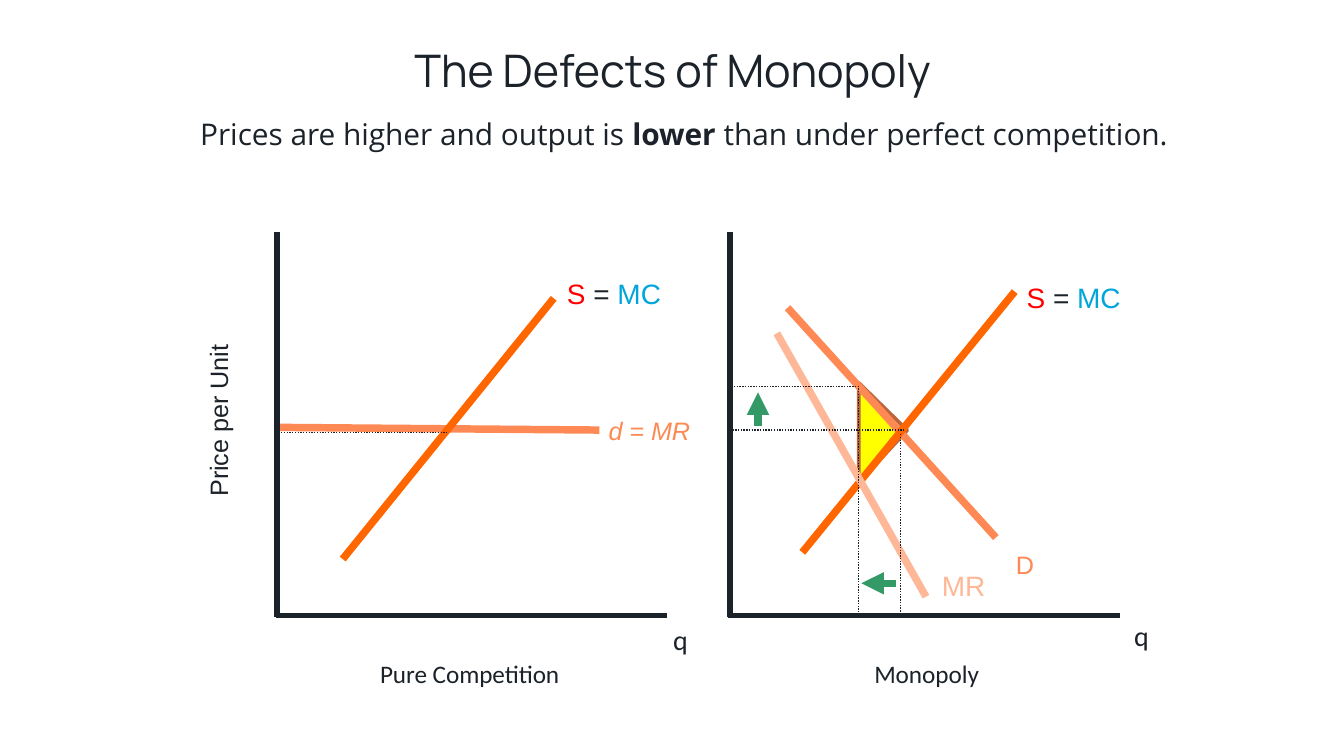
from lxml import etree
from pptx import Presentation
from pptx.dml.color import RGBColor
from pptx.enum.dml import MSO_LINE
from pptx.enum.shapes import MSO_CONNECTOR, MSO_SHAPE
from pptx.enum.text import MSO_ANCHOR, MSO_AUTO_SIZE, PP_ALIGN
from pptx.oxml.ns import qn
from pptx.util import Inches, Pt

STRAIGHT = MSO_CONNECTOR.STRAIGHT
TRIANGLE = MSO_SHAPE.ISOSCELES_TRIANGLE
DOTTED = MSO_LINE.ROUND_DOT
MIDDLE = MSO_ANCHOR.MIDDLE
GROW = MSO_AUTO_SIZE.SHAPE_TO_FIT_TEXT
FIXED = MSO_AUTO_SIZE.NONE
LEFT, CENTER = PP_ALIGN.LEFT, PP_ALIGN.CENTER

TITLE_ONLY = 5
WIDTH = 10
HEIGHT = WIDTH * 9 / 16
COLUMNS = 100
CELL = WIDTH / COLUMNS
AXIS_TOP, AXIS_BOTTOM, AXIS_LENGTH = 17.3, 45.8, 29

COLORS = {
    "ink": "1C2229",
    "supply": "FF6600",
    "demand": "FE8954",
    "revenue": "FEB898",
    "red": "FF0000",
    "blue": "00A6DA",
    "green": "339966",
    "yellow": "FFFF00",
    "brown": "BB653E",
}
SUPPLY_LABEL = [("S", "red", False), (" = ", "ink", False), ("MC", "blue", False)]


def grid(*cells):
    return [Inches(cell * CELL) for cell in cells]


def color(name):
    return RGBColor.from_string(COLORS[name])


def write(box, spans, font="Arial", size=13.5, align=LEFT, italic=False,
          spacing=1, insets=(0.1, 0.05), wrap=True, fit=GROW, anchor=None):
    frame = box.text_frame
    frame.word_wrap = wrap
    frame.auto_size = fit
    frame.margin_left = frame.margin_right = Inches(insets[0])
    frame.margin_top = frame.margin_bottom = Inches(insets[1])
    if anchor is not None:
        frame.vertical_anchor = anchor
    para = frame.paragraphs[0]
    para.alignment = align
    para.line_spacing = spacing
    para.space_before = Pt(0)
    for text, name, bold in spans:
        span = para.add_run()
        span.text = text
        span.font.name = font
        span.font.size = Pt(size)
        span.font.bold = bold
        span.font.italic = italic
        span.font.color.rgb = color(name)


def add_label(page, area, spans, rotation=0, **style):
    box = page.shapes.add_textbox(*grid(*area))
    box.rotation = rotation
    write(box, spans, **style)


def add_line(page, start, end, name="ink", weight=4, dash=None, arrow=False):
    line = page.shapes.add_connector(STRAIGHT, *grid(*start, *end))
    line.line.color.rgb = color(name)
    line.line.width = Pt(weight)
    if dash is not None:
        line.line.dash_style = dash
    if arrow:
        etree.SubElement(line.line._get_or_add_ln(), qn("a:tailEnd"), type="triangle")
    etree.SubElement(line._element.spPr, qn("a:effectLst"))


def add_guide(page, start, end):
    add_line(page, start, end, weight=0.75, dash=DOTTED)


def add_panel(page, left, caption, caption_left, quantity_at):
    add_line(page, (left, AXIS_TOP), (left, AXIS_BOTTOM + 0.1), weight=3)
    add_line(page, (left - 0.1, AXIS_BOTTOM), (left + AXIS_LENGTH, AXIS_BOTTOM), weight=3)
    add_label(page, (caption_left, 48.6, 29.7, 3), [(caption, "ink", False)],
              font="Calibri", align=CENTER, insets=(0.07, 0.04))
    add_label(page, (*quantity_at, 3.1, 3.5), [("q", "ink", False)],
              font="Calibri", size=15, wrap=False)


def add_supply(page, start, end, label_at):
    add_line(page, start, end, "supply")
    add_label(page, (*label_at, 9, 3.5), SUPPLY_LABEL, size=15, wrap=False)


def add_welfare_loss(page):
    loss = page.shapes.add_shape(TRIANGLE, *grid(62, 30.4, 7.4, 3.6))
    loss.adjustments[0] = 0.476
    loss.rotation = 90
    loss.shadow.inherit = False
    loss.fill.solid()
    loss.fill.fore_color.rgb = color("yellow")
    loss.line.color.rgb = color("brown")
    loss.line.width = Pt(2)


def add_headings(page):
    message = page.shapes.title
    message.left, message.top, message.width, message.height = grid(13.4, 5.4, 75, 9.4)
    write(message, [("Prices are higher and output is ", "ink", False),
                    ("lower ", "ink", True),
                    ("than under perfect competition.", "ink", False)],
          font="Open Sans", size=16, align=CENTER, spacing=0.9,
          insets=(0, 0), fit=FIXED, anchor=MIDDLE)
    add_label(page, (16.3, 1.9, 67.5, 6.5), [("The Defects of Monopoly", "ink", False)],
              font="Manrope", size=24, align=CENTER, fit=FIXED, anchor=MIDDLE)


def add_competition(page):
    add_line(page, (20.7, 31.8), (44.6, 32), "demand")
    add_label(page, (44.3, 30.4, 8.5, 3.2), [("d = MR", "demand", False)], italic=True)
    add_panel(page, 20.6, "Pure Competition", 20.1, (49.1, 45.8))
    add_label(page, (1.9, 29.8, 28.6, 3), [("Price per Unit", "ink", False)],
              rotation=270, align=CENTER, insets=(0.07, 0.04))
    add_supply(page, (25.5, 41.6), (41.2, 22.2), (41.2, 20.1))
    add_guide(page, (20.5, 32.2), (33.3, 32.2))


def add_monopoly(page):
    add_welfare_loss(page)
    add_panel(page, 54.3, "Monopoly", 54.1, (83.4, 45.5))
    add_label(page, (74.6, 40.4, 3.2, 3.2), [("D", "demand", False)])
    add_line(page, (58.6, 22.9), (74.1, 40), "demand")
    add_supply(page, (59.7, 41.1), (75.5, 21.7), (75.4, 20.4))
    add_line(page, (57.8, 24.8), (68.9, 44.4), "revenue")
    add_label(page, (69.1, 41.8, 5.5, 3.5), [("MR", "revenue", False)],
              size=15, wrap=False)
    for start, end in [((54.5, 32), (67.3, 32)), ((63.9, 28.9), (63.9, 45.5)),
                       ((54.2, 28.75), (63.9, 28.75)), ((67, 32.3), (67, 45.8))]:
        add_guide(page, start, end)
    for start, end in [((56.4, 31.7), (56.4, 29.2)), ((66.7, 43.4), (64.1, 43.4))]:
        add_line(page, start, end, "green", arrow=True)


def main():
    deck = Presentation()
    deck.slide_width, deck.slide_height = Inches(WIDTH), Inches(HEIGHT)
    page = deck.slides.add_slide(deck.slide_layouts[TITLE_ONLY])
    add_headings(page)
    add_competition(page)
    add_monopoly(page)
    deck.save("out.pptx")


if __name__ == "__main__":
    main()
